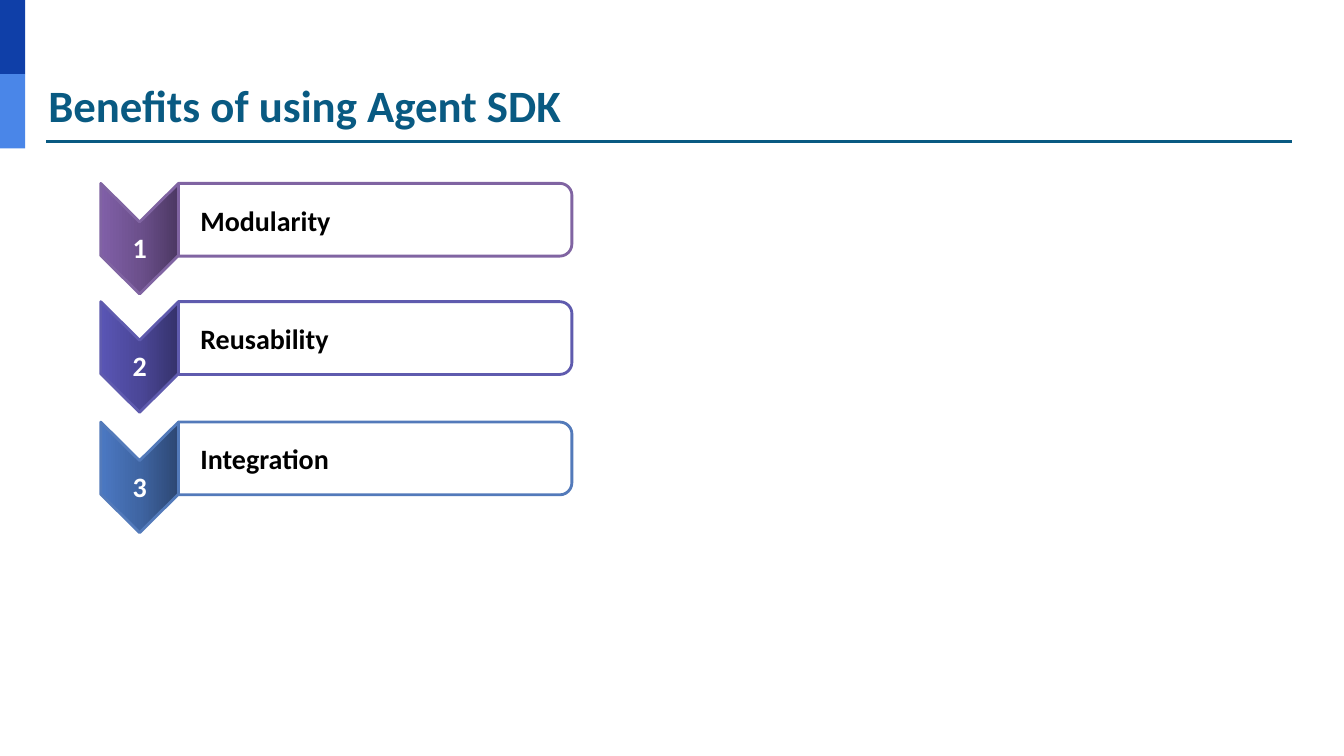
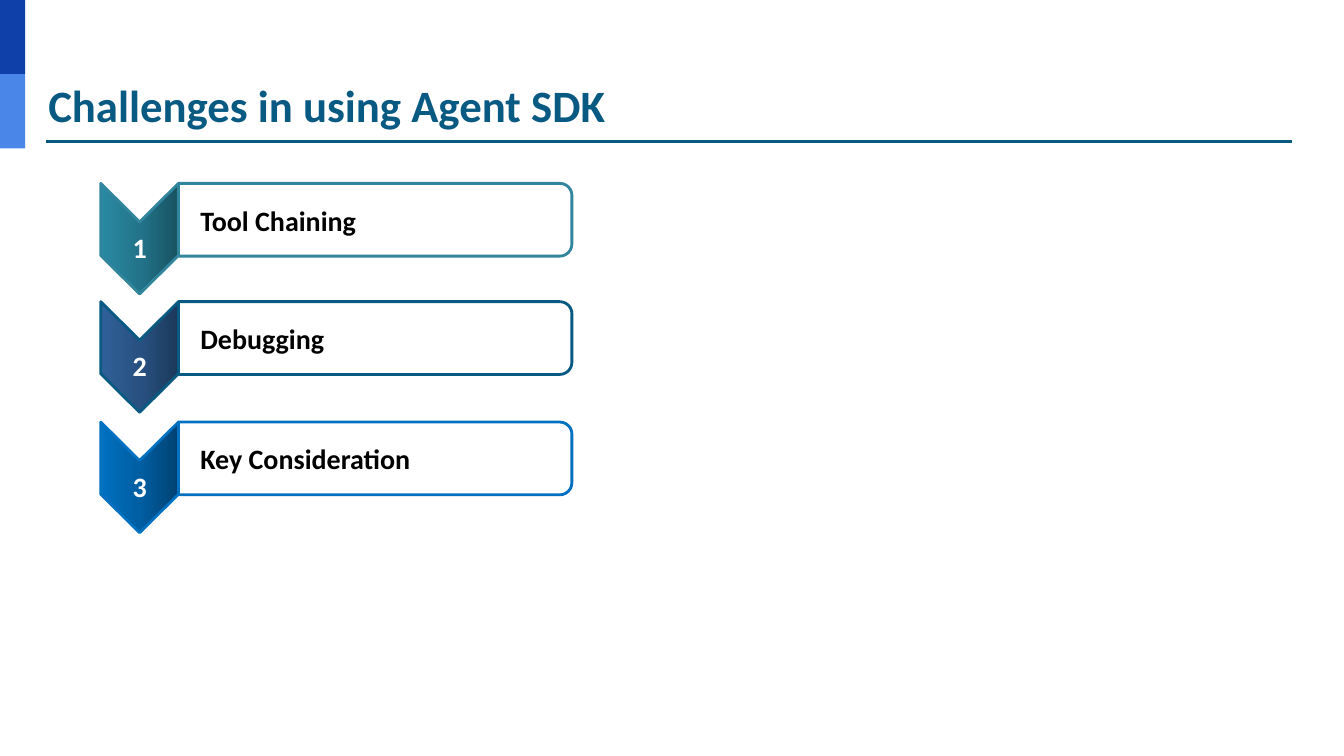
import copy
from dataclasses import dataclass

import pptx
import pptx.dml.color
import pptx.enum.shapes
import pptx.enum.text
import pptx.oxml
import pptx.oxml.ns
import pptx.util

Pt = pptx.util.Pt
Shape = pptx.enum.shapes.MSO_SHAPE
Align = pptx.enum.text.PP_ALIGN
Anchor = pptx.enum.text.MSO_ANCHOR

# Shared look
FONT = "Calibri"
TITLE = "095A82"
BANDS = ("0F3FA8", "4A86E8")
WHITE = "FFFFFF"
BLACK = "000000"

# Row layout
TOPS = (131, 215.5, 301.5)
LEFT, WIDE, TALL, NOTCH = 72, 55.5, 79, 27.5
BAR_WIDE, BAR_TALL = 281, 52


@dataclass
class Row:
    label: str
    edge: str
    shades: tuple[str, str, str]  # dark, middle, light


@dataclass
class Page:
    title: str
    rows: tuple[Row, ...]


PAGES = (
    Page("Benefits of using Agent SDK", (
        Row("Modularity", "8064A2", ("4C3863", "6C508C", "805FA7")),
        Row("Reusability", "5F5BAE", ("35326B", "4B4798", "5955B4")),
        Row("Integration", "537ABA", ("2D4773", "3F65A3", "4B78C2")),
    )),
    Page("Challenges in using Agent SDK", (
        Row("Tool Chaining", "31859C", ("185261", "23748A", "298AA3")),
        Row("Debugging", "095A82", ("1C395B", "285181", "306099")),
        Row("Key Consideration", "0070C0", ("004272", "005EA2", "0070C0")),
    )),
)


def paint(target, tint: str) -> None:
    """Give a colour to a solid fill or a font."""
    if hasattr(target, "solid"):
        target.solid()
        target = target.fore_color
    else:
        target = target.color
    target.rgb = pptx.dml.color.RGBColor.from_string(tint)


def outline(shape, tint: str) -> None:
    shape.shadow.inherit = False
    paint(shape.line.fill, tint)
    shape.line.width = Pt(2)


def write(shapes, text: str, x: float, y: float, wide: float, tall: float, *,
          size: float = 20, tint: str = BLACK, align=Align.LEFT,
          anchor=Anchor.TOP, pad: tuple[float, float] = (7.2, 3.6)) -> None:
    box = shapes.add_textbox(Pt(x), Pt(y), Pt(wide), Pt(tall))
    frame = box.text_frame
    frame.word_wrap = True
    frame.vertical_anchor = anchor
    frame.margin_left = frame.margin_right = Pt(pad[0])
    frame.margin_top = frame.margin_bottom = Pt(pad[1])
    line = frame.paragraphs[0]
    line.alignment = align
    run = line.add_run()
    run.text = text
    run.font.name, run.font.size, run.font.bold = FONT, Pt(size), True
    paint(run.font, tint)


def draw_bar(shapes, top: float, edge: str) -> None:
    # A quarter turn puts the two round corners on the right
    mid_x = LEFT + WIDE + BAR_WIDE / 2
    mid_y = top + BAR_TALL / 2
    bar = shapes.add_shape(
        Shape.ROUND_2_SAME_RECTANGLE, Pt(mid_x - BAR_TALL / 2),
        Pt(mid_y - BAR_WIDE / 2), Pt(BAR_TALL), Pt(BAR_WIDE))
    bar.rotation = 90
    paint(bar.fill, WHITE)
    hue = bar.element.spPr.find(".//" + pptx.oxml.ns.qn("a:srgbClr"))
    alpha = hue.makeelement(pptx.oxml.ns.qn("a:alpha"), {"val": "90000"})
    hue.append(alpha)
    outline(bar, edge)


def draw_arrow(shapes, top: float, row: Row) -> None:
    right, mid = LEFT + WIDE, LEFT + WIDE / 2
    low = top + TALL - NOTCH
    points = ((right, low), (mid, top + TALL), (LEFT, low),
              (LEFT, top), (mid, top + NOTCH))
    pen = shapes.build_freeform(Pt(right), Pt(top))
    pen.add_line_segments([(Pt(x), Pt(y)) for x, y in points], close=True)
    arrow = pen.convert_to_shape()
    arrow.fill.gradient()
    arrow.fill.gradient_angle = 180
    stops = arrow.element.spPr.find(".//" + pptx.oxml.ns.qn("a:gsLst"))
    stops.insert(1, copy.deepcopy(stops[0]))
    for i, (stop, shade) in enumerate(
            zip(arrow.fill.gradient_stops, row.shades)):
        stop.position = i / 2
        stop.color.rgb = pptx.dml.color.RGBColor.from_string(shade)
    outline(arrow, row.edge)


def draw_row(slide, rank: int, top: float, row: Row) -> None:
    shapes = slide.shapes.add_group_shape().shapes
    draw_bar(shapes, top, row.edge)
    draw_arrow(shapes, top, row)
    write(shapes, str(rank), 77, top + 30, 45.5, 31.5,
          tint=WHITE, align=Align.CENTER)
    write(shapes, row.label, 136, top + 10.5, 220, 31.5)


def draw_frame(slide, title: str) -> None:
    # Side bands
    for i, tint in enumerate(BANDS):
        band = slide.shapes.add_shape(
            Shape.RECTANGLE, 0, Pt(i * 53), Pt(18), Pt(53))
        band.shadow.inherit = False
        paint(band.fill, tint)
        band.line.fill.background()
    # Title and its rule
    rule = slide.shapes.add_connector(
        pptx.enum.shapes.MSO_CONNECTOR.STRAIGHT,
        Pt(33), Pt(101), Pt(923), Pt(101))
    paint(rule.line.fill, TITLE)
    rule.line.width = Pt(2.25)
    rule.element.spPr.append(pptx.oxml.parse_xml(
        f"<a:effectLst {pptx.oxml.ns.nsdecls('a')}/>"))
    write(slide.shapes, title, 33, 55.5, 878, 39, size=32, tint=TITLE,
          anchor=Anchor.MIDDLE, pad=(1.5, 1.5))


def main() -> None:
    deck = pptx.Presentation()
    deck.slide_width, deck.slide_height = Pt(960), Pt(540)
    for page in PAGES:
        slide = deck.slides.add_slide(deck.slide_layouts[6])
        draw_frame(slide, page.title)
        for rank, (top, row) in enumerate(zip(TOPS, page.rows), 1):
            draw_row(slide, rank, top, row)
    deck.save("out.pptx")


if __name__ == "__main__":
    main()
